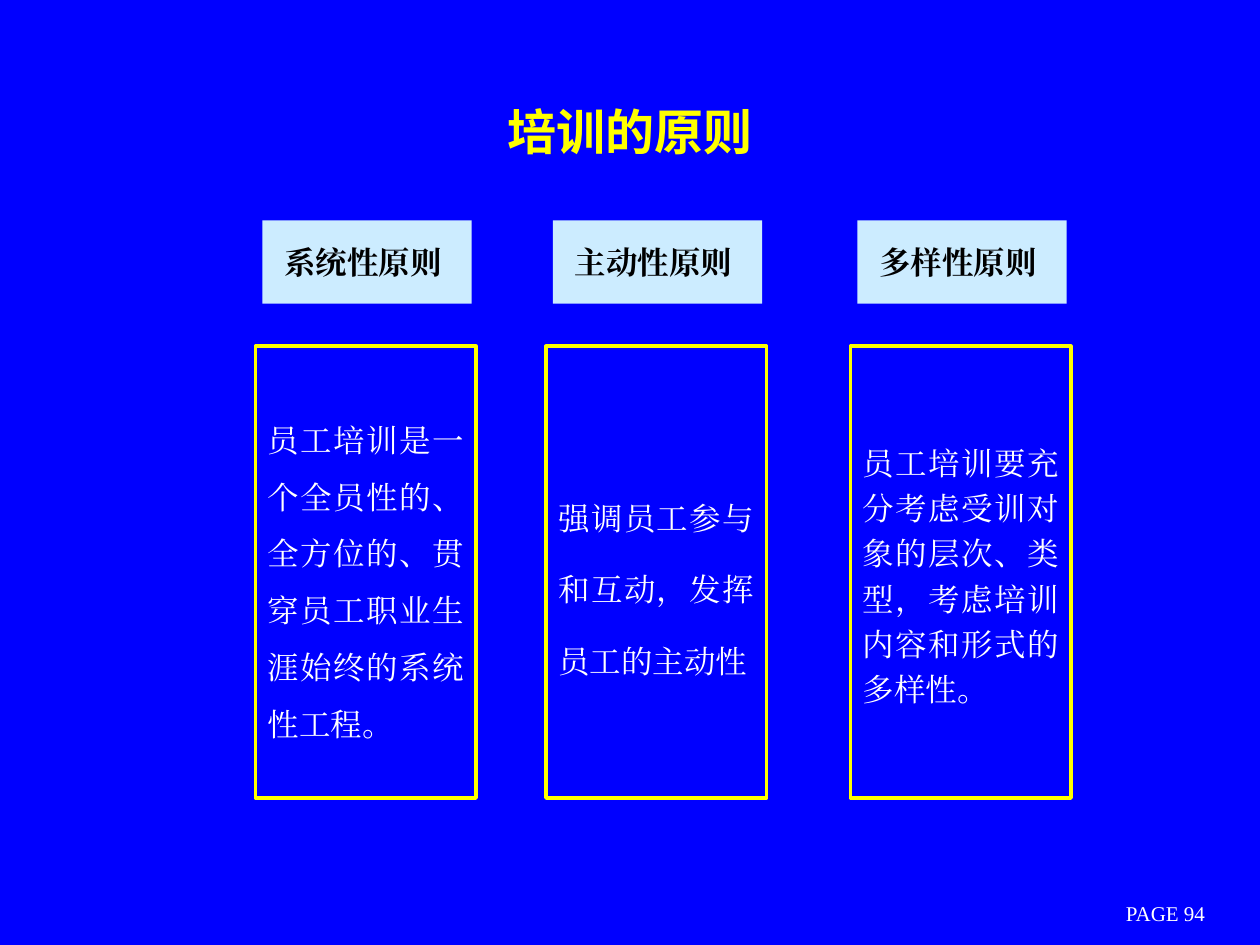
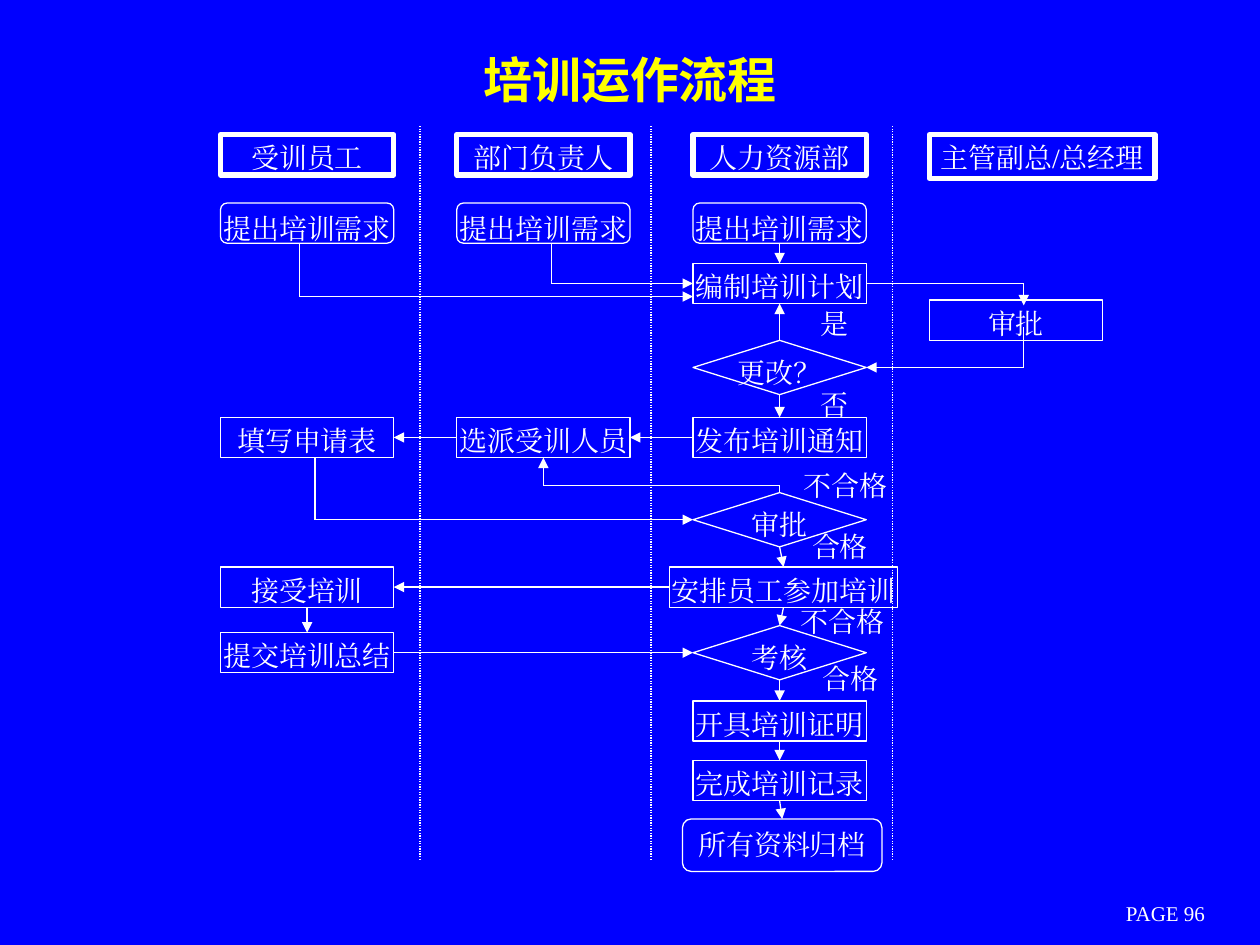
from lxml import etree
from pptx import Presentation
from pptx.dml.color import RGBColor
from pptx.enum.dml import MSO_LINE
from pptx.enum.shapes import MSO_CONNECTOR, MSO_SHAPE
from pptx.enum.text import MSO_ANCHOR, MSO_AUTO_SIZE, PP_ALIGN
from pptx.oxml.ns import qn
from pptx.util import Pt

RECT = MSO_SHAPE.RECTANGLE
ROUND = MSO_SHAPE.ROUNDED_RECTANGLE
DECISION = MSO_SHAPE.FLOWCHART_DECISION
STRAIGHT = MSO_CONNECTOR.STRAIGHT
DOTTED = MSO_LINE.ROUND_DOT
CENTER, JUSTIFY = PP_ALIGN.CENTER, PP_ALIGN.JUSTIFY
TOP_ANCHOR, MIDDLE = MSO_ANCHOR.TOP, MSO_ANCHOR.MIDDLE
NO_AUTOFIT = MSO_AUTO_SIZE.NONE
TOP, LEFT, BOTTOM, RIGHT = range(4)

BLUE, YELLOW, WHITE, BLACK, PALE = "0000FF", "FFFF00", "FFFFFF", "000000", "CCECFF"
TITLE_FONT, BODY_FONT = "Noto Sans CJK SC", "Times New Roman"

NODE_WIDTH, NODE_HEIGHT, DIAMOND_HEIGHT = 99, 23, 31
STAFF, MANAGER, HR, EXECUTIVE = [126 + 135 * lane for lane in range(4)]

PRINCIPLES = [
    (146, "系统性原则 ", "员工培训是一个全员性的、全方位的、贯穿员工职业生涯始终的系统性工程。", 1.5),
    (312, "主动性原则 ", "强调员工参与和互动，发挥员工的主动性", 1.9),
    (486, "多样性原则 ", "员工培训要充分考虑受训对象的层次、类型，考虑培训内容和形式的多样性。", 1.2),
]
LANE_HEADERS = [(STAFF, "受训员工"), (MANAGER, "部门负责人"), (HR, "人力资源部")]
BRANCH_LABELS = [
    ("是", 459, 171.5, 36), ("否", 459, 218, 36),
    ("不合格", 456, 264, 54), ("合格", 462, 299, 36),
    ("不合格", 450, 342, 62.5), ("合格", 468, 374.5, 36),
]


def color(value):
    """Turn a hex string into a colour."""
    return RGBColor.from_string(value)


def write(shape, text, size, text_color=WHITE, font=BODY_FONT, bold=False,
          align=CENTER, anchor=MIDDLE, spacing=None, side_inset=7.2, wrap=True):
    """Set and format the single paragraph of a shape."""
    frame = shape.text_frame
    frame.text = text
    frame.word_wrap = wrap
    frame.auto_size = NO_AUTOFIT
    frame.vertical_anchor = anchor
    frame.margin_left = frame.margin_right = Pt(side_inset)
    frame.margin_top = frame.margin_bottom = Pt(3.6)
    paragraph = frame.paragraphs[0]
    paragraph.alignment = align
    if spacing:
        paragraph.line_spacing = spacing
    for run in paragraph.runs:
        run.font.size = Pt(size)
        run.font.bold = bold
        run.font.name = font
        run.font.color.rgb = color(text_color)
        east_asian = etree.SubElement(run._r.get_or_add_rPr(), qn("a:ea"))
        east_asian.set("typeface", font)


def add_box(slide, kind, left, top, width, height, fill=None, line=None, weight=0.75):
    """Add a preset shape with optional fill and outline."""
    shape = slide.shapes.add_shape(kind, Pt(left), Pt(top), Pt(width), Pt(height))
    shape.shadow.inherit = False
    if fill:
        shape.fill.solid()
        shape.fill.fore_color.rgb = color(fill)
    else:
        shape.fill.background()
    if line:
        shape.line.color.rgb = color(line)
        shape.line.width = Pt(weight)
    else:
        shape.line.fill.background()
    return shape


def add_text(slide, text, left, top, width, height, size, **style):
    """Add a text box."""
    box = slide.shapes.add_textbox(Pt(left), Pt(top), Pt(width), Pt(height))
    write(box, text, size, **style)


def add_node(slide, text, left, top, kind=RECT, width=NODE_WIDTH, height=NODE_HEIGHT, weight=0.75):
    """Add one outlined step of the flow."""
    node = add_box(slide, kind, left, top, width, height, line=WHITE, weight=weight)
    write(node, text, 16, anchor=TOP_ANCHOR, side_inset=0)
    return node


def add_decision(slide, text, top):
    """Add a decision diamond in the HR lane."""
    node = add_box(slide, DECISION, HR, top, NODE_WIDTH, DIAMOND_HEIGHT, line=WHITE)
    write(node, text, 16, anchor=TOP_ANCHOR, side_inset=0, spacing=0.88)
    return node


def add_line(slide, start, end, arrow=False, dash=None):
    """Draw a line between two ends, each a point or a (shape, side) pair."""
    points = [(0, 0) if not isinstance(tip[0], (int, float)) else tip for tip in (start, end)]
    lengths = [Pt(value) for point in points for value in point]
    line = slide.shapes.add_connector(STRAIGHT, *lengths)
    if not isinstance(start[0], (int, float)):
        line.begin_connect(*start)
    if not isinstance(end[0], (int, float)):
        line.end_connect(*end)
    line.line.color.rgb = color(WHITE)
    line.line.width = Pt(0.75)
    if dash:
        line.line.dash_style = dash
    if arrow:
        etree.SubElement(line.line._get_or_add_ln(), qn("a:tailEnd"), type="triangle")
    etree.SubElement(line._element.spPr, qn("a:effectLst"))


def add_route(slide, *stops):
    """Draw a bent route that ends in an arrow."""
    for index in range(len(stops) - 1):
        add_line(slide, stops[index], stops[index + 1], arrow=index == len(stops) - 2)


def add_slide(presentation, title, title_top, page):
    """Add a titled slide with its page mark."""
    slide = presentation.slides.add_slide(presentation.slide_layouts[5])
    heading = slide.shapes.title
    heading.left, heading.top = Pt(54), Pt(title_top)
    heading.width, heading.height = Pt(612), Pt(90)
    write(heading, title, 28, YELLOW, TITLE_FONT, bold=True)
    add_text(slide, f"PAGE {page}", 606, 513, 120, 18, 12, wrap=False)
    return slide


def build_principles(presentation):
    """Build the slide with three training principles."""
    slide = add_slide(presentation, "培训的原则", 30, 94)
    for left, name, description, spacing in PRINCIPLES:
        header = add_box(slide, RECT, left + 4, 126, 119.5, 47.5, fill=PALE)
        write(header, name, 18, BLACK, bold=True)
        body = add_box(slide, RECT, left, 198, 126, 258, line=YELLOW, weight=2.25)
        write(body, description, 18, align=JUSTIFY, spacing=spacing)


def build_flow(presentation):
    """Build the training process across four lanes."""
    slide = add_slide(presentation, "培训运作流程", 0, 96)
    for x in (240, 372, 510):
        add_line(slide, (x, 72), (x, 492), dash=DOTTED)
    for left, name in LANE_HEADERS:
        add_node(slide, name, left, 77, weight=3)
    add_node(slide, "主管副总/总经理", EXECUTIVE, 77, width=129, height=25, weight=3)

    requests = [add_node(slide, "提出培训需求", left, 116, ROUND) for left in (STAFF, MANAGER, HR)]
    approval = add_node(slide, "审批", EXECUTIVE, 171.5)
    plan = add_node(slide, "编制培训计划", HR, 150.5)
    change = add_decision(slide, "更改？", 194.5)
    notice = add_node(slide, "发布培训通知", HR, 238.5)
    selection = add_node(slide, "选派受训人员", MANAGER, 238.5)
    application = add_node(slide, "填写申请表", STAFF, 238.5)
    review = add_decision(slide, "审批", 281.5)
    arrangement = add_node(slide, "安排员工参加培训", 382.5, 324, width=130.5)
    training = add_node(slide, "接受培训", STAFF, 324)
    summary = add_node(slide, "提交培训总结", STAFF, 361.5)
    assessment = add_decision(slide, "考核", 357.5)
    certificate = add_node(slide, "开具培训证明", HR, 400.5)
    record = add_node(slide, "完成培训记录", HR, 434.5)
    archive = add_node(slide, "所有资料归档", 390, 468, ROUND, 114, 30)

    downward = [(requests[2], plan), (change, notice), (review, arrangement),
                (arrangement, assessment), (assessment, certificate),
                (certificate, record), (record, archive), (training, summary)]
    for upper, lower in downward:
        add_route(slide, (upper, BOTTOM), (lower, TOP))
    for right, left in [(notice, selection), (selection, application), (arrangement, training)]:
        add_route(slide, (right, LEFT), (left, RIGHT))
    add_route(slide, (summary, RIGHT), (assessment, LEFT))
    add_route(slide, (change, TOP), (plan, BOTTOM))

    add_route(slide, (171, 139), (171, 169.5), (HR, 169.5))
    add_route(slide, (315, 139), (315, 162), (plan, LEFT))
    add_route(slide, (plan, RIGHT), (585, 162), (585, approval.top.pt + 3))
    add_route(slide, (585, 187), (585, 210), (change, RIGHT))
    add_route(slide, (180, 261.5), (180, 297), (review, LEFT))
    add_route(slide, (review, TOP), (445.5, 277.5), (310.5, 277.5), (selection, BOTTOM))

    for text, left, top, width in BRANCH_LABELS:
        add_text(slide, text, left, top, width, NODE_HEIGHT, 16,
                 anchor=TOP_ANCHOR, side_inset=0)


def main():
    """Create the presentation."""
    presentation = Presentation()
    presentation.slide_width, presentation.slide_height = Pt(720), Pt(540)
    background = presentation.slide_master.background.fill
    background.solid()
    background.fore_color.rgb = color(BLUE)
    build_principles(presentation)
    build_flow(presentation)
    presentation.save("out.pptx")


if __name__ == "__main__":
    main()
